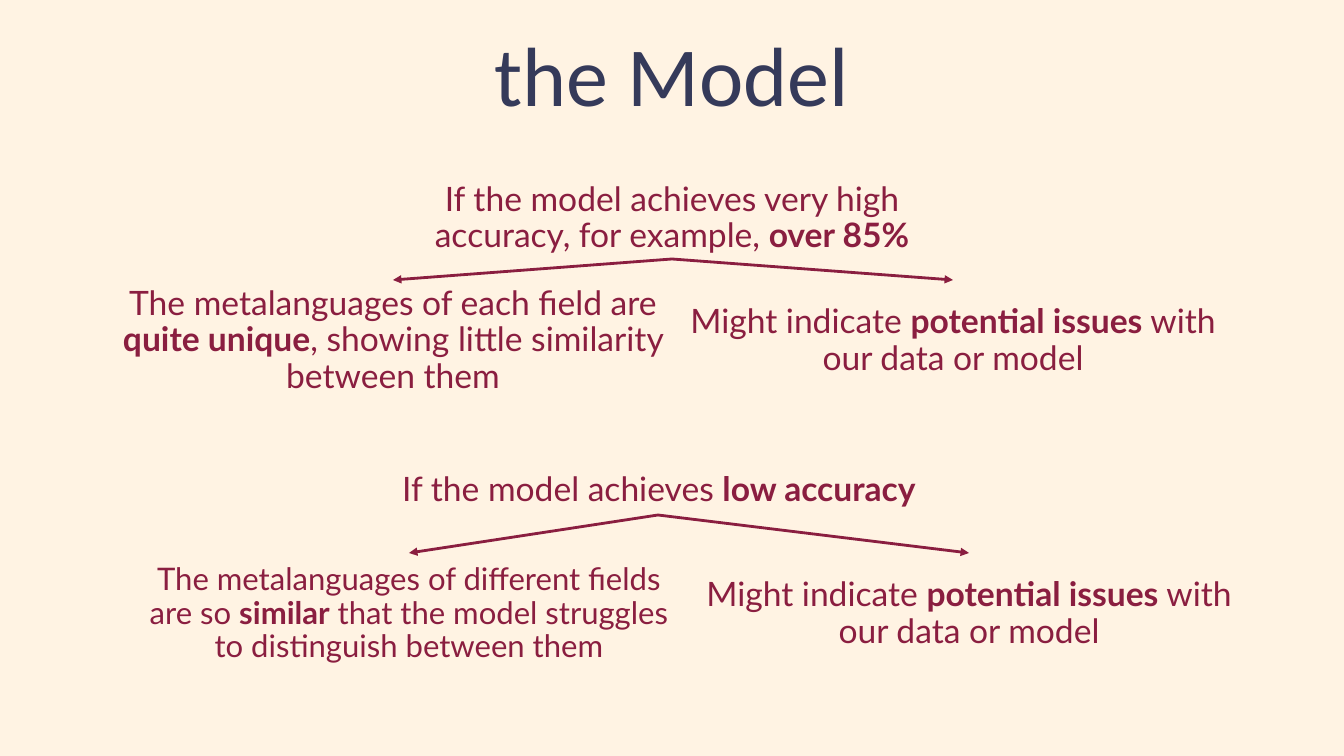
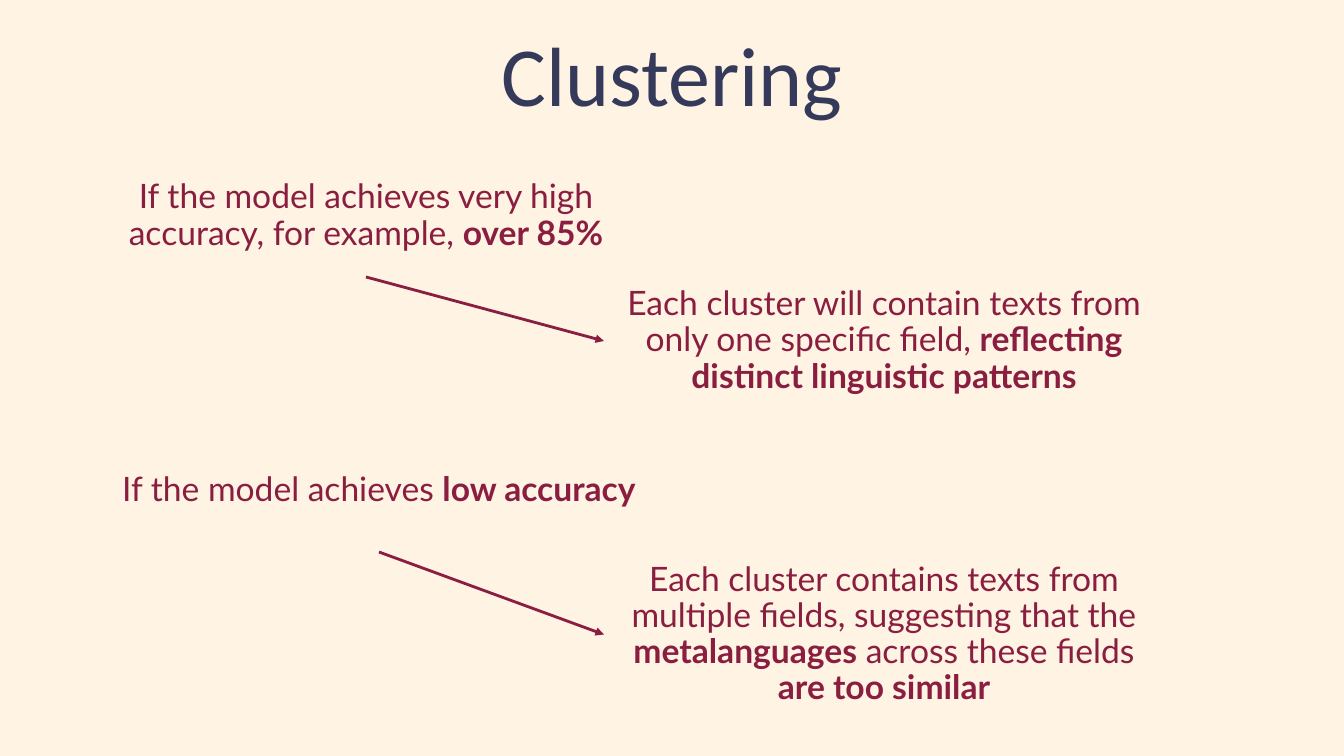
from dataclasses import dataclass

from lxml import etree
from pptx import Presentation
from pptx import util as u
from pptx.dml import color
from pptx.enum import shapes, text
from pptx.oxml import ns

PX = 914400 / 100.8
PAGE_W, PAGE_H = 1344, 756
TITLE_H = 158
BOX_W, BOX_H = 560, 122
WIDE_W, TALL_H = 586, 163
TOP, LEFT, BOTTOM = 0, 1, 2  # connection sites of a rectangle

HIGH_ACCURACY = "If the model achieves very high accuracy, for example, **over 85%**"
LOW_ACCURACY = "If the model achieves **low accuracy**"
ISSUES = "Might indicate **potential issues** with our data or model"


@dataclass(frozen=True)
class Theme:
    paper: str = "FFF3E3"
    navy: str = "353A5A"
    wine: str = "8A1E40"
    title_font: str = "Calibri"
    body_font: str = "Lato"
    title_size: float = 60
    body_size: float = 24
    small_size: float = 22.2
    line_width: float = 2
    spacing: float = 0.9


def px(length):
    return u.Emu(round(length * PX))


def rgb(value):
    return color.RGBColor.from_string(value)


def write(box, words, *, font, size, ink, spacing):
    """Fill a box with one centred paragraph; **marks** set words in bold."""
    frame = box.text_frame
    frame.word_wrap = True
    frame.auto_size = text.MSO_AUTO_SIZE.NONE
    frame.vertical_anchor = text.MSO_ANCHOR.MIDDLE
    para = frame.paragraphs[0]
    para.alignment = text.PP_ALIGN.CENTER
    para.line_spacing = spacing
    para.space_before = u.Pt(0)
    for index, part in enumerate(words.split("**")):
        if part:
            span = para.add_run()
            span.text = part
            span.font.name = font
            span.font.size = u.Pt(size)
            span.font.color.rgb = rgb(ink)
            span.font.bold = index % 2 == 1


class Deck:
    def __init__(self, theme):
        self.theme = theme
        self.deck = Presentation()
        self.deck.slide_width, self.deck.slide_height = px(PAGE_W), px(PAGE_H)
        fill = self.deck.slide_master.background.fill
        fill.solid()
        fill.fore_color.rgb = rgb(theme.paper)
        self.page = None

    def new_page(self, title):
        self.page = self.deck.slides.add_slide(
            self.deck.slide_layouts.get_by_name("Title Only"))
        box = self.page.shapes.title
        box.left, box.top, box.width, box.height = map(px, (0, 0, PAGE_W, TITLE_H))
        theme = self.theme
        write(box, title, font=theme.title_font, size=theme.title_size,
              ink=theme.navy, spacing=theme.spacing)

    def label(self, words, left, top, width=BOX_W, height=BOX_H, size=None):
        box = self.page.shapes.add_textbox(*map(px, (left, top, width, height)))
        theme = self.theme
        write(box, words, font=theme.body_font, size=size or theme.body_size,
              ink=theme.wine, spacing=theme.spacing)
        return box

    def arrow(self, target, site, source=None, start=(0, 0)):
        """Point at a side of target, from below source or from a start point."""
        line = self.page.shapes.add_connector(
            shapes.MSO_CONNECTOR.STRAIGHT, *map(px, start + start))
        if source is not None:
            line.begin_connect(source, BOTTOM)
        line.end_connect(target, site)
        line.line.color.rgb = rgb(self.theme.wine)
        line.line.width = u.Pt(self.theme.line_width)
        outline = line.line._get_or_add_ln()
        etree.SubElement(outline, ns.qn("a:tailEnd"), type="triangle")
        etree.SubElement(line._element.spPr, ns.qn("a:effectLst"))

    def fork(self, condition, apex, answers_at, first, second, first_size=None):
        """Draw a condition given as (words, left, top, width) and two answers."""
        self.label(*condition)
        left, top = answers_at
        answers = (self.label(first, left, top, size=first_size),
                   self.label(second, left + BOX_W, top))
        for answer in answers:
            self.arrow(answer, TOP, start=apex)

    def step(self, condition, answer):
        """Draw a condition and the one answer it leads to."""
        self.arrow(self.label(*answer), LEFT, source=self.label(*condition))


def main():
    theme = Theme()
    deck = Deck(theme)

    deck.new_page("the Model")
    deck.fork((HIGH_ACCURACY, 392, 158, BOX_W), (672, 259), (113, 280),
              "The metalanguages of each field are **quite unique**, "
              "showing little similarity between them", ISSUES)
    deck.fork((LOW_ACCURACY, 366, 430, WIDE_W), (658, 515), (129, 553),
              "The metalanguages of different fields are so **similar** "
              "that the model struggles to distinguish between them", ISSUES,
              first_size=theme.small_size)

    deck.new_page("Clustering")
    deck.step((HIGH_ACCURACY, 86, 155, BOX_W),
              ("Each cluster will contain texts from only one specific field, "
               "**reflecting distinct linguistic patterns**", 604, 280))
    deck.step((LOW_ACCURACY, 86, 430, WIDE_W),
              ("Each cluster contains texts from multiple fields, suggesting that "
               "the **metalanguages** across these fields **are too similar**",
               604, 553, BOX_W, TALL_H))

    deck.deck.save("out.pptx")


if __name__ == "__main__":
    main()
